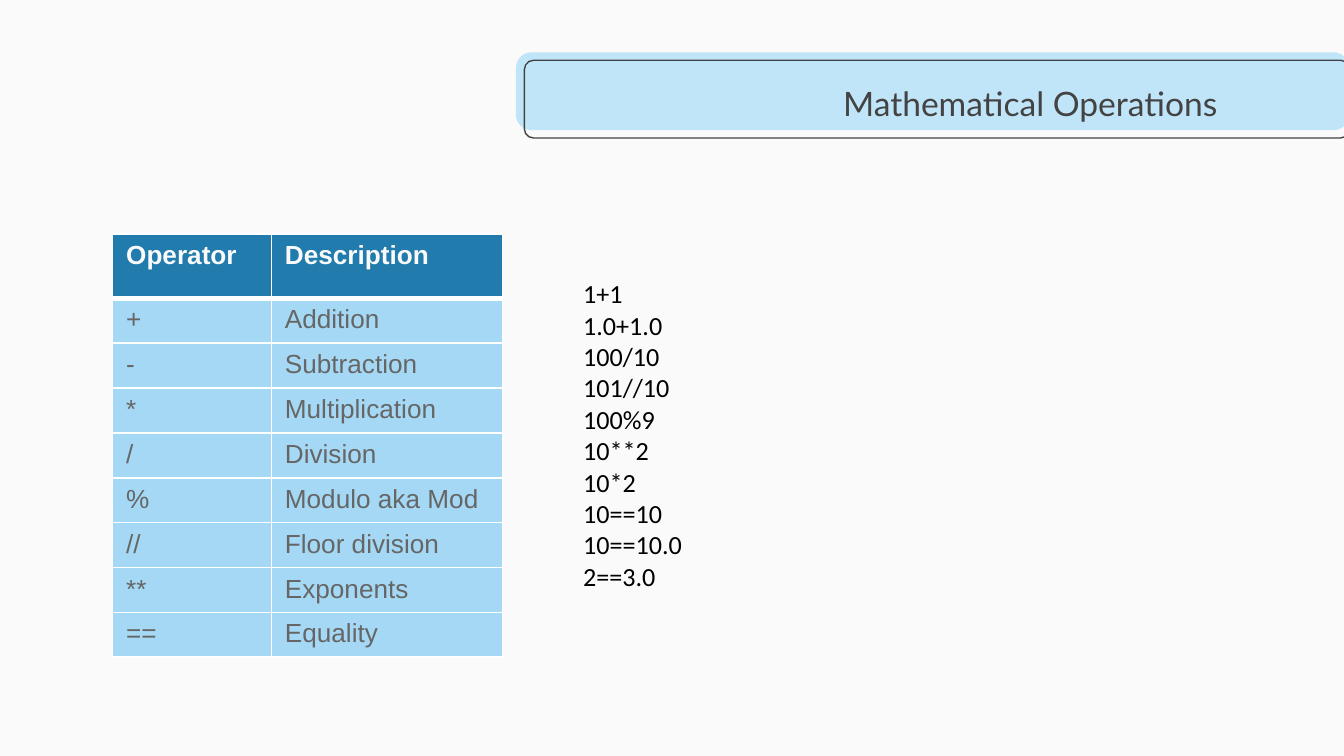
from dataclasses import dataclass

from lxml.etree import SubElement
from pptx import Presentation
from pptx.dml.color import RGBColor
from pptx.enum.shapes import MSO_SHAPE
from pptx.enum.text import MSO_ANCHOR, PP_ALIGN
from pptx.oxml.ns import qn
from pptx.util import Cm, Pt


@dataclass(frozen=True)
class Theme:
    background: str = "FAFAFA"
    banner: str = "C1E5F8"
    ink: str = "434343"
    header_fill: str = "217BAC"
    header_text: str = "FAFAFA"
    body_fill: str = "A4D8F4"
    body_text: str = "666666"
    border: str = "FFFFFF"
    code: str = "000000"
    title_size: float = 18
    text_size: float = 14


THEME = Theme()

OPERATORS = [
    ("Operator", "Description"),
    ("+", "Addition"),
    ("-", "Subtraction"),
    ("*", "Multiplication"),
    ("/", "Division"),
    ("%", "Modulo aka Mod"),
    ("//", "Floor division"),
    ("**", "Exponents"),
    ("==", "Equality"),
]
EXAMPLES = [
    "1+1", "1.0+1.0", "100/10", "101//10", "100%9",
    "10**2", "10*2", "10==10", "10==10.0", "2==3.0",
]


def color(value):
    return RGBColor.from_string(value)


def apply_format(target, values):
    for name, value in values.items():
        setattr(target, name, value)


def write_lines(text_frame, lines, font_color, font, alignment=PP_ALIGN.LEFT):
    """Write one paragraph per line, all in the same format."""
    for index, line in enumerate(lines):
        paragraph = text_frame.paragraphs[0] if index == 0 else text_frame.add_paragraph()
        paragraph.alignment = alignment
        run = paragraph.add_run()
        run.text = line
        apply_format(run.font, font)
        run.font.color.rgb = color(font_color)


def add_banner_box(slide, place, corner, fill=None, line=None):
    shape = slide.shapes.add_shape(MSO_SHAPE.ROUNDED_RECTANGLE, *map(Cm, place))
    shape.adjustments[0] = corner
    shape.shadow.inherit = False
    if fill:
        shape.fill.solid()
        shape.fill.fore_color.rgb = color(fill)
    else:
        shape.fill.background()
    if line:
        shape.line.color.rgb = color(line)
        shape.line.width = Pt(0.75)
    else:
        shape.line.fill.background()


def add_text(slide, place, lines, font_color, font,
             alignment=PP_ALIGN.LEFT, anchor=MSO_ANCHOR.TOP):
    text_frame = slide.shapes.add_textbox(*map(Cm, place)).text_frame
    margins = dict.fromkeys(
        ("margin_left", "margin_top", "margin_right", "margin_bottom"), Cm(0.25))
    apply_format(text_frame, {"word_wrap": True, "vertical_anchor": anchor, **margins})
    write_lines(text_frame, lines, font_color, font, alignment)


def set_borders(cell, widths):
    properties = cell._tc.get_or_add_tcPr()
    for side, width in widths.items():
        line = SubElement(properties, qn(f"a:ln{side}"), w=str(Pt(width)))
        fill = SubElement(line, qn("a:solidFill"))
        SubElement(fill, qn("a:srgbClr"), val=THEME.border)


def add_operator_table(slide, left, top, column_widths, header_height, row_height):
    heights = [header_height] + [row_height] * (len(OPERATORS) - 1)
    table = slide.shapes.add_table(
        len(OPERATORS), len(column_widths), Cm(left), Cm(top),
        Cm(sum(column_widths)), Cm(sum(heights))).table
    for column, width in zip(table.columns, column_widths):
        column.width = Cm(width)
    for row_index, (row, height) in enumerate(zip(table.rows, heights)):
        row.height = Cm(height)
        is_header = row_index == 0
        fill = THEME.header_fill if is_header else THEME.body_fill
        text_color = THEME.header_text if is_header else THEME.body_text
        font = {"name": "Arial", "size": Pt(THEME.text_size), "bold": is_header}
        # A thick rule parts the header from the body
        borders = {"L": 1, "R": 1, "T": 3 if row_index == 1 else 1,
                   "B": 3 if is_header else 1}
        for cell, text in zip(row.cells, OPERATORS[row_index]):
            set_borders(cell, borders)
            cell.fill.solid()
            cell.fill.fore_color.rgb = color(fill)
            write_lines(cell.text_frame, [text], text_color, font)


def main():
    presentation = Presentation()
    apply_format(presentation, {"slide_width": Cm(25.4), "slide_height": Cm(14.29)})
    slide = presentation.slides.add_slide(presentation.slide_layouts[6])
    slide.background.fill.solid()
    slide.background.fill.fore_color.rgb = color(THEME.background)

    # Title banner with its offset outline
    add_banner_box(slide, (9.75, 0.99, 15.75, 1.47), 0.2, fill=THEME.banner)
    add_banner_box(slide, (9.91, 1.14, 15.6, 1.47), 0.12, line=THEME.ink)
    add_text(slide, (14.4, 1.27, 8.86, 1.35), ["Mathematical Operations"], THEME.ink,
             {"name": "Lato", "size": Pt(THEME.title_size)},
             PP_ALIGN.RIGHT, MSO_ANCHOR.MIDDLE)

    # Operators and what they do
    add_operator_table(slide, 2.13, 4.42, (3, 4.37), 1.22, 0.74)

    # Expressions to try
    add_text(slide, (10.77, 5, 13.41, 6.5), EXAMPLES, THEME.code,
             {"name": "Calibri", "size": Pt(THEME.text_size)})

    presentation.save("out.pptx")


if __name__ == "__main__":
    main()
